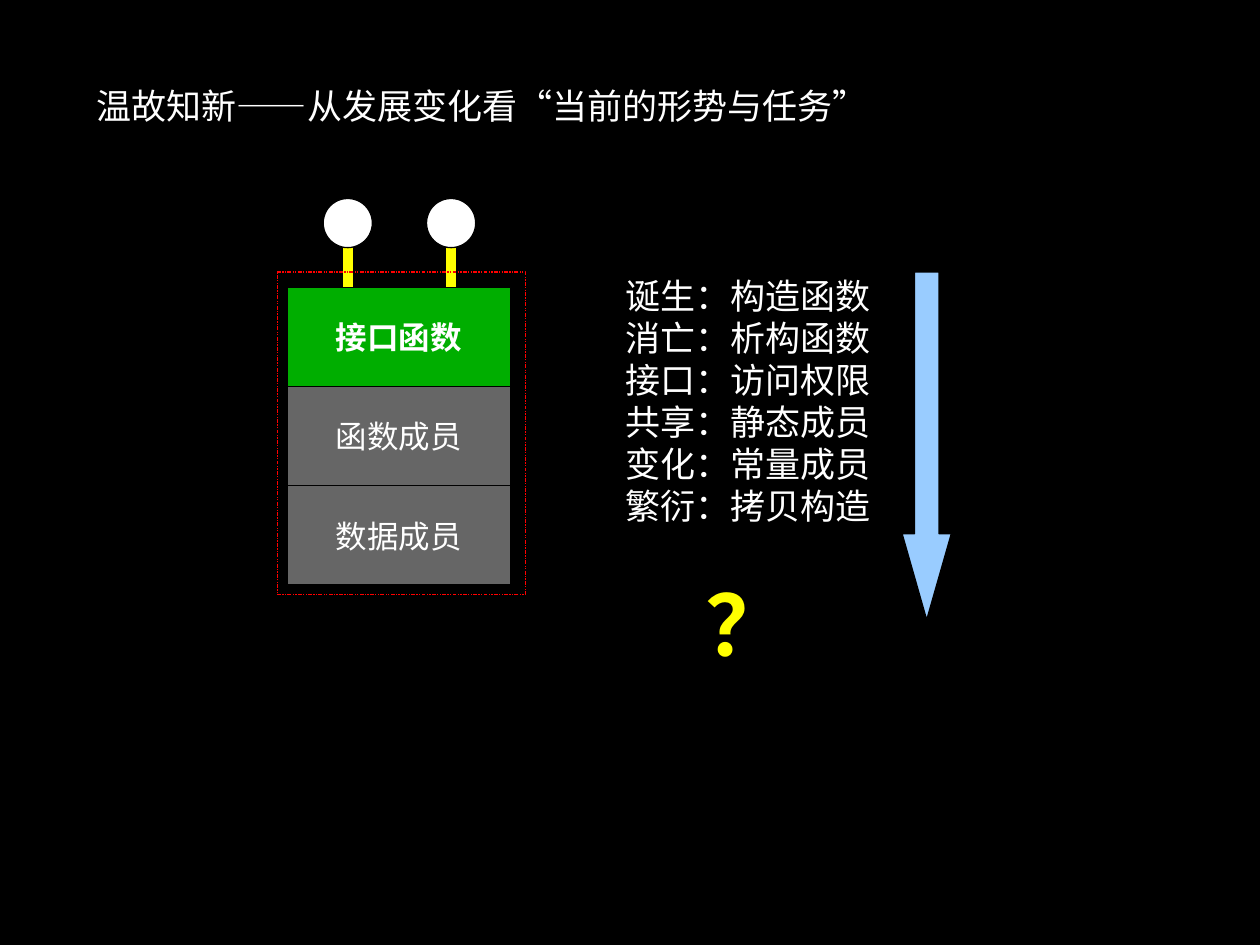
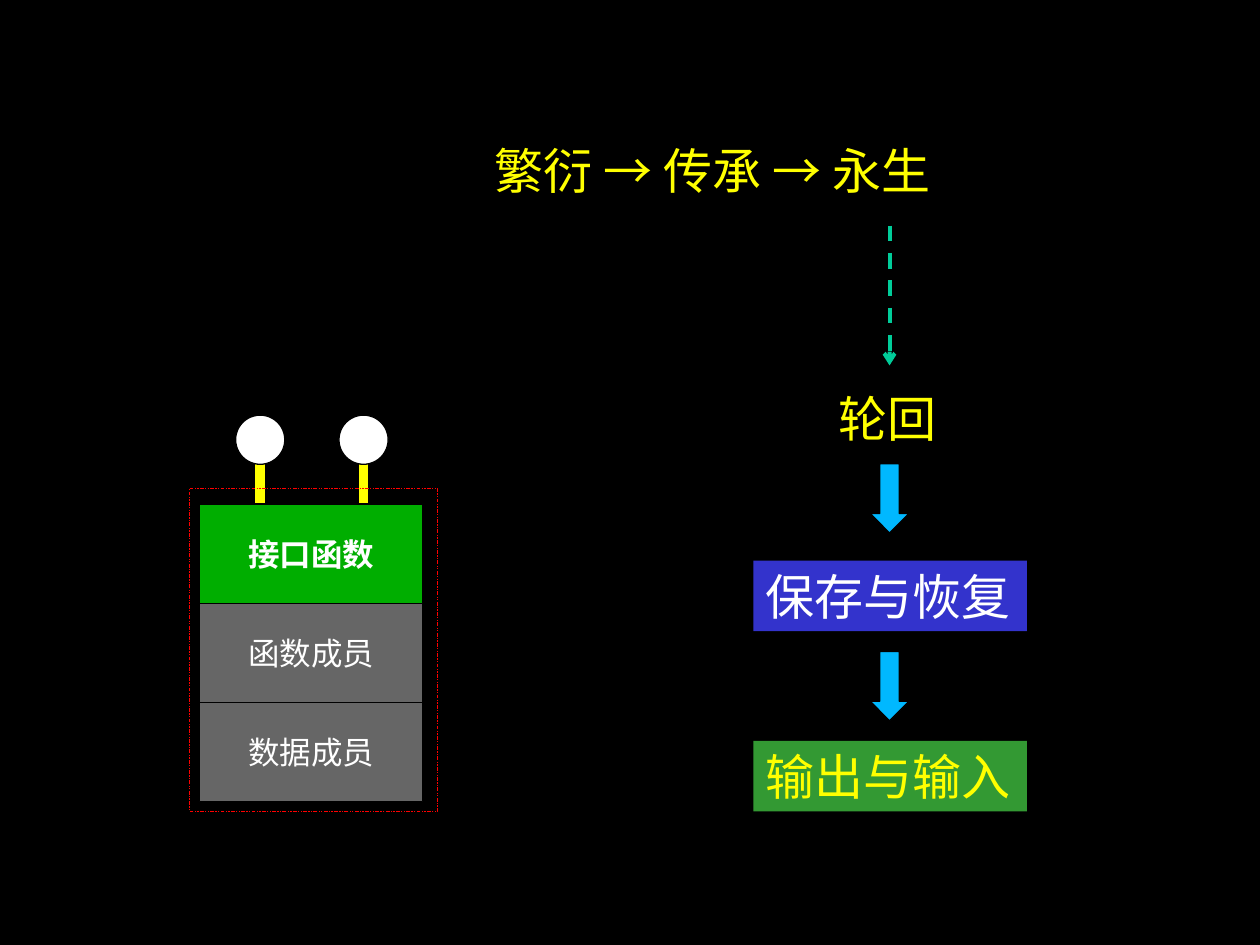
from dataclasses import dataclass
from typing import Any

from lxml.etree import SubElement
from pptx import Presentation
from pptx.dml.color import RGBColor
from pptx.enum.shapes import MSO_CONNECTOR as Connector, MSO_SHAPE as Preset
from pptx.enum.text import MSO_ANCHOR as Anchor, PP_ALIGN as Align
from pptx.oxml.ns import qn
from pptx.util import Inches, Pt

BLACK = RGBColor(0x00, 0x00, 0x00)
WHITE = RGBColor(0xFF, 0xFF, 0xFF)
YELLOW = RGBColor(0xFF, 0xFF, 0x00)
RED = RGBColor(0xFF, 0x00, 0x00)
GREEN = RGBColor(0x00, 0xAE, 0x00)
GRAY = RGBColor(0x66, 0x66, 0x66)
PALE_BLUE = RGBColor(0x99, 0xCC, 0xFF)
SKY_BLUE = RGBColor(0x00, 0xB8, 0xFF)
TEAL = RGBColor(0x00, 0xCC, 0x99)
INDIGO = RGBColor(0x33, 0x33, 0xCC)
LEAF = RGBColor(0x33, 0x99, 0x33)

FONT = "Noto Sans CJK SC"
COLUMNS, ROWS = 100, 75


@dataclass
class Deck:
    """Draws styled elements on the current slide, on a grid of columns and rows."""

    presentation: Any
    slide: Any = None
    shapes: Any = None

    def new_slide(self):
        """Start a black slide on the blank layout."""
        self.slide = self.presentation.slides.add_slide(self.presentation.slide_layouts[6])
        self.shapes = self.slide.shapes
        fill = self.slide.background.fill
        fill.solid()
        fill.fore_color.rgb = BLACK

    def place(self, column, row):
        """Turn a grid position into slide lengths."""
        return (round(column * self.presentation.slide_width / COLUMNS),
                round(row * self.presentation.slide_height / ROWS))

    def shape(self, preset, left, top, width, height, fill=None, line=BLACK, dash=None):
        """Add a preset shape with a thin outline."""
        shape = self.shapes.add_shape(preset, *self.place(left, top), *self.place(width, height))
        shape.shadow.inherit = False
        if fill is None:
            shape.fill.background()
        else:
            shape.fill.solid()
            shape.fill.fore_color.rgb = fill
        if line is None:
            shape.line.fill.background()
        else:
            shape.line.color.rgb = line
            shape.line.width = Pt(0.75)
        if dash:
            SubElement(shape.element.spPr.find(qn("a:ln")), qn("a:prstDash"), val=dash)
        return shape

    def line(self, column, top, bottom, color, width, dash=None, tail=None):
        """Add a vertical line."""
        line = self.shapes.add_connector(
            Connector.STRAIGHT, *self.place(column, top), *self.place(column, bottom))
        line.line.color.rgb = color
        line.line.width = Pt(width)
        outline = line.element.spPr.find(qn("a:ln"))
        if dash:
            SubElement(outline, qn("a:prstDash"), val=dash)
        if tail:
            SubElement(outline, qn("a:tailEnd"), type=tail)
        SubElement(line.element.spPr, qn("a:effectLst"))

    def styled_run(self, paragraph, text, size, color, bold=False):
        """Add one run to a paragraph."""
        run = paragraph.add_run()
        run.text = text
        font = run.font
        font.name, font.size, font.bold = FONT, Pt(size), bold
        font.color.rgb = color
        SubElement(run._r.get_or_add_rPr(), qn("a:ea"), typeface=FONT)

    def label(self, shape, text, size, color, align=Align.LEFT, bold=False):
        """Set one line of text in the vertical middle of a shape."""
        frame = shape.text_frame
        frame.word_wrap = False
        frame.vertical_anchor = Anchor.MIDDLE
        frame.margin_top = frame.margin_bottom = 0
        frame.paragraphs[0].alignment = align
        self.styled_run(frame.paragraphs[0], text, size, color, bold)

    def text(self, left, top, width, height, text, size, color):
        """Add a one-line text box."""
        box = self.shapes.add_textbox(*self.place(left, top), *self.place(width, height))
        self.label(box, text, size, color)

    def box(self, top, text, fill, color):
        """Add a filled box of the flow."""
        self.label(self.shape(Preset.RECTANGLE, 59.8, top, 21.7, 5.6, fill, None), text, 28, color)

    def stages(self, left, top, width, height, lines, question):
        """Add the list of stages, closed by a large question."""
        box = self.shapes.add_textbox(*self.place(left, top), *self.place(width, height))
        frame = box.text_frame
        frame.word_wrap = False
        for index, text in enumerate(lines):
            paragraph = frame.add_paragraph() if index else frame.paragraphs[0]
            paragraph.alignment = Align.CENTER
            paragraph.line_spacing = Pt(24)
            self.styled_run(paragraph, text, 20, WHITE)
        paragraph = frame.add_paragraph()
        paragraph.alignment = Align.CENTER
        paragraph.line_spacing = Pt(58)
        paragraph.space_before = Pt(26)
        self.styled_run(paragraph, question, 48, YELLOW, True)

    def object_figure(self, left, top):
        """Add the grouped object: two antennas over three framed cells."""
        self.shapes = self.slide.shapes.add_group_shape().shapes
        antennas = [left + 5.6, left + 13.8]
        for column in antennas:
            self.line(column, top - 4.3, top + 1.6, YELLOW, 5.67)
        for column in antennas:
            self.shape(Preset.OVAL, column - 1.95, top - 5.85, 3.9, 3.9, WHITE)
        cells = [("接口函数", GREEN), ("函数成员", GRAY), ("数据成员", GRAY)]
        for index, (text, fill) in enumerate(cells):
            cell = self.shape(Preset.ROUNDED_RECTANGLE, left + 0.8, top + 1.2 + index * 7.88,
                              17.7, 7.88, fill)
            cell.adjustments[0] = 0
            self.label(cell, text, 18, WHITE, Align.CENTER, index == 0)
        frame = self.shape(Preset.ROUNDED_RECTANGLE, left, top, 19.7, 25.6,
                           line=RED, dash="sysDashDotDot")
        frame.adjustments[0] = 0
        self.shapes = self.slide.shapes


presentation = Presentation()
presentation.slide_width, presentation.slide_height = Inches(10), Inches(7.5)
deck = Deck(presentation)

deck.new_slide()
deck.text(6.7, 6.2, 63.7, 4.3, "温故知新——从发展变化看“当前的形势与任务”", 20, WHITE)
deck.stages(45.7, 21.3, 27.3, 31,
            ["诞生：构造函数", "消亡：析构函数", "接口：访问权限",
             "共享：静态成员", "变化：常量成员", "繁衍：拷贝构造"], "？")
deck.object_figure(22, 21.6)
timeline = deck.shape(Preset.DOWN_ARROW, 71.6, 21.6, 3.9, 27.6, PALE_BLUE)
timeline.adjustments[1] = 1.75

deck.new_slide()
deck.object_figure(15.05, 38.8)
deck.text(38.3, 10.7, 37.9, 5.6, "繁衍 → 传承 → 永生", 28, YELLOW)
deck.line(70.6, 17.9, 29, TEAL, 2.25, "dash", "arrow")
deck.text(65.6, 30.4, 9.9, 5.6, "轮回", 28, YELLOW)
for arrow_top in (36.8, 51.7):
    deck.shape(Preset.DOWN_ARROW, 69.05, arrow_top, 3.1, 5.5, SKY_BLUE)
deck.box(44.5, "保存与恢复", INDIGO, WHITE)
deck.box(58.8, "输出与输入", LEAF, YELLOW)

presentation.save("out.pptx")
